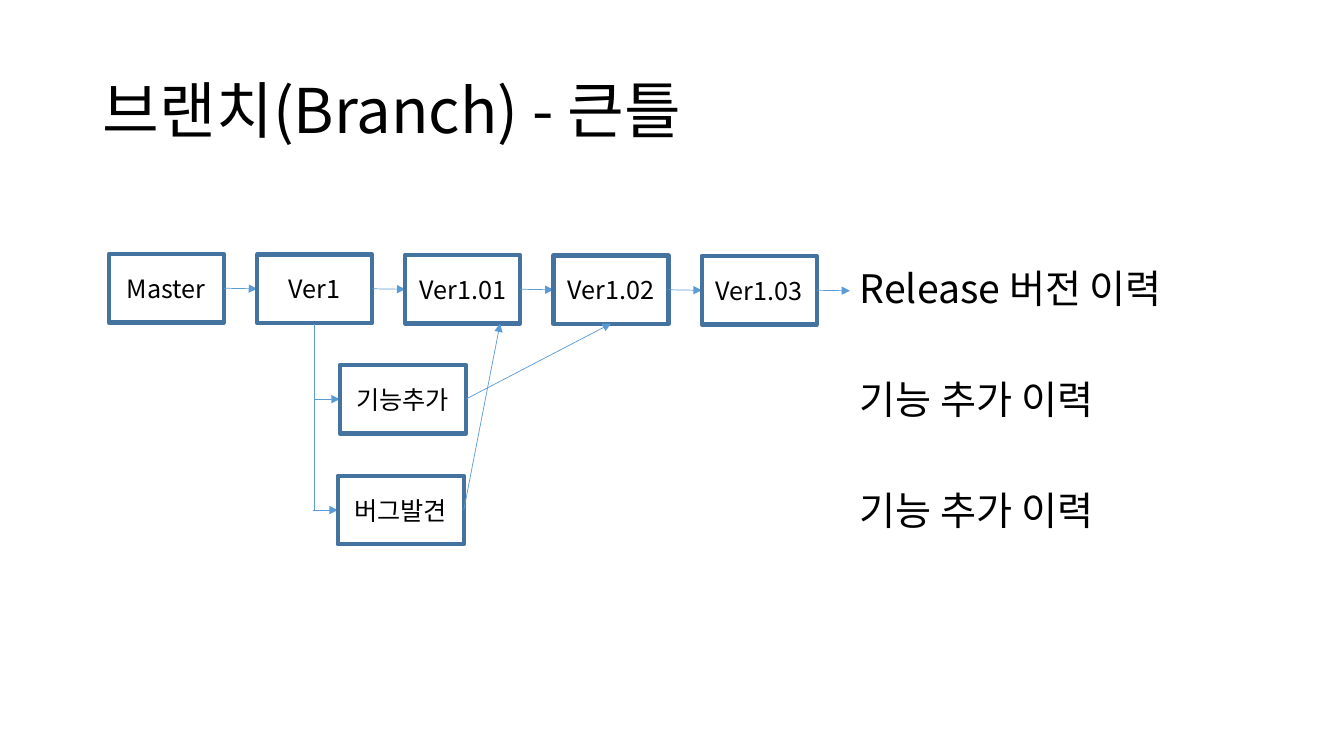
import pptx
import pptx.util
import pptx.dml.color
import pptx.enum.shapes
import pptx.enum.text
import pptx.oxml.ns
import lxml.etree

Inches = pptx.util.Inches
RGBColor = pptx.dml.color.RGBColor
Align = pptx.enum.text.PP_ALIGN
Anchor = pptx.enum.text.MSO_ANCHOR
BLACK = RGBColor(0x00, 0x00, 0x00)
BORDER = RGBColor(0x43, 0x73, 0x9E)
ARROW = RGBColor(0x5B, 0x9B, 0xD5)
FONT = "Noto Sans CJK KR"

GRID_LEFT, COLUMN_PITCH = 1.08, 1.47
GRID_TOP, ROW_PITCH = 2.52, 1.1
BOX_HEIGHT, VERSION_WIDTH, BRANCH_WIDTH = 0.68, 1.14, 1.25
TOTAL_DROP = 0.02
LABEL_HEIGHT = 0.57

VERSIONS = ["Master", "Ver1", "Ver1.01", "Ver1.02", "Ver1.03"]
LABELS = [("Release 버전 이력", 3.38), ("기능 추가 이력", 2.84), ("기능 추가 이력", 2.84)]


def column_left(column):
    return GRID_LEFT + column * COLUMN_PITCH


def row_top(row):
    return GRID_TOP + row * ROW_PITCH


def row_middle(row):
    return row_top(row) + BOX_HEIGHT / 2


def write_text(shape, text, size, frame_format, para_format):
    frame = shape.text_frame
    for name, value in frame_format.items():
        setattr(frame, name, value)
    para = frame.paragraphs[0]
    for name, value in para_format.items():
        setattr(para, name, value)
    span = para.add_run()
    span.text = text
    for name, value in {"name": FONT, "size": pptx.util.Pt(size)}.items():
        setattr(span.font, name, value)
    span.font.color.rgb = BLACK
    east_asian = lxml.etree.SubElement(span.font._element, pptx.oxml.ns.qn("a:ea"))
    east_asian.set("typeface", FONT)


def add_title(page, text):
    title = page.shapes.title
    place = {"left": 0.92, "top": 0.4, "width": 11.5, "height": 1.45}
    for name, value in place.items():
        setattr(title, name, Inches(value))
    write_text(title, text, 44, {"vertical_anchor": Anchor.MIDDLE, "word_wrap": True},
               {"alignment": Align.LEFT, "line_spacing": 0.9})


def add_box(page, text, left, top, width):
    box = page.shapes.add_shape(pptx.enum.shapes.MSO_SHAPE.RECTANGLE, Inches(left),
                                Inches(top), Inches(width), Inches(BOX_HEIGHT))
    box.shadow.inherit = False
    box.fill.background()
    box.line.color.rgb = BORDER
    box.line.width = pptx.util.Pt(3)
    write_text(box, text, 18, {"vertical_anchor": Anchor.MIDDLE, "word_wrap": True},
               {"alignment": Align.CENTER})


def add_label(page, text, row, width):
    label = page.shapes.add_textbox(
        Inches(column_left(len(VERSIONS))), Inches(row_middle(row) - LABEL_HEIGHT / 2),
        Inches(width), Inches(LABEL_HEIGHT))
    write_text(label, text, 28,
               {"word_wrap": False, "auto_size": pptx.enum.text.MSO_AUTO_SIZE.SHAPE_TO_FIT_TEXT},
               {"alignment": Align.LEFT})


def add_line(page, start, end, arrow=True):
    line = page.shapes.add_connector(pptx.enum.shapes.MSO_CONNECTOR.STRAIGHT,
                                     *[Inches(value) for value in (*start, *end)])
    line.line.color.rgb = ARROW
    line.line.width = pptx.util.Pt(0.5)
    if arrow:
        head = lxml.etree.SubElement(line.line._get_or_add_ln(), pptx.oxml.ns.qn("a:tailEnd"))
        head.set("type", "triangle")
    lxml.etree.SubElement(line._element.spPr, pptx.oxml.ns.qn("a:effectLst"))


def add_versions(page):
    drop = TOTAL_DROP / (len(VERSIONS) - 1)
    for column, version in enumerate(VERSIONS):
        left = column_left(column)
        add_box(page, version, left, row_top(0) + column * drop, VERSION_WIDTH)
        middle = row_middle(0) + column * drop
        add_line(page, (left + VERSION_WIDTH, middle), (column_left(column + 1), middle + drop))


def add_branch(page, text, row, left, trunk, merge):
    middle = row_middle(row)
    add_line(page, (trunk, middle), (left, middle))
    add_box(page, text, left, row_top(row), BRANCH_WIDTH)
    add_line(page, (left + BRANCH_WIDTH, middle), merge)


def main():
    deck = pptx.Presentation()
    deck.slide_width, deck.slide_height = Inches(13.33), Inches(7.5)
    page = deck.slides.add_slide(deck.slide_layouts[5])
    add_title(page, "브랜치(Branch) - 큰틀")
    add_versions(page)
    trunk = column_left(1) + VERSION_WIDTH / 2
    box_bottom = row_top(0) + BOX_HEIGHT + 0.01
    add_line(page, (trunk, box_bottom), (trunk, row_middle(2)), arrow=False)
    add_branch(page, "기능추가", 1, 3.37, trunk, (column_left(3) + VERSION_WIDTH / 2, box_bottom))
    add_branch(page, "버그발견", 2, 3.35, trunk - 0.02, (4.96, box_bottom))
    for row, (text, width) in enumerate(LABELS):
        add_label(page, text, row, width)
    deck.save("out.pptx")


main()
